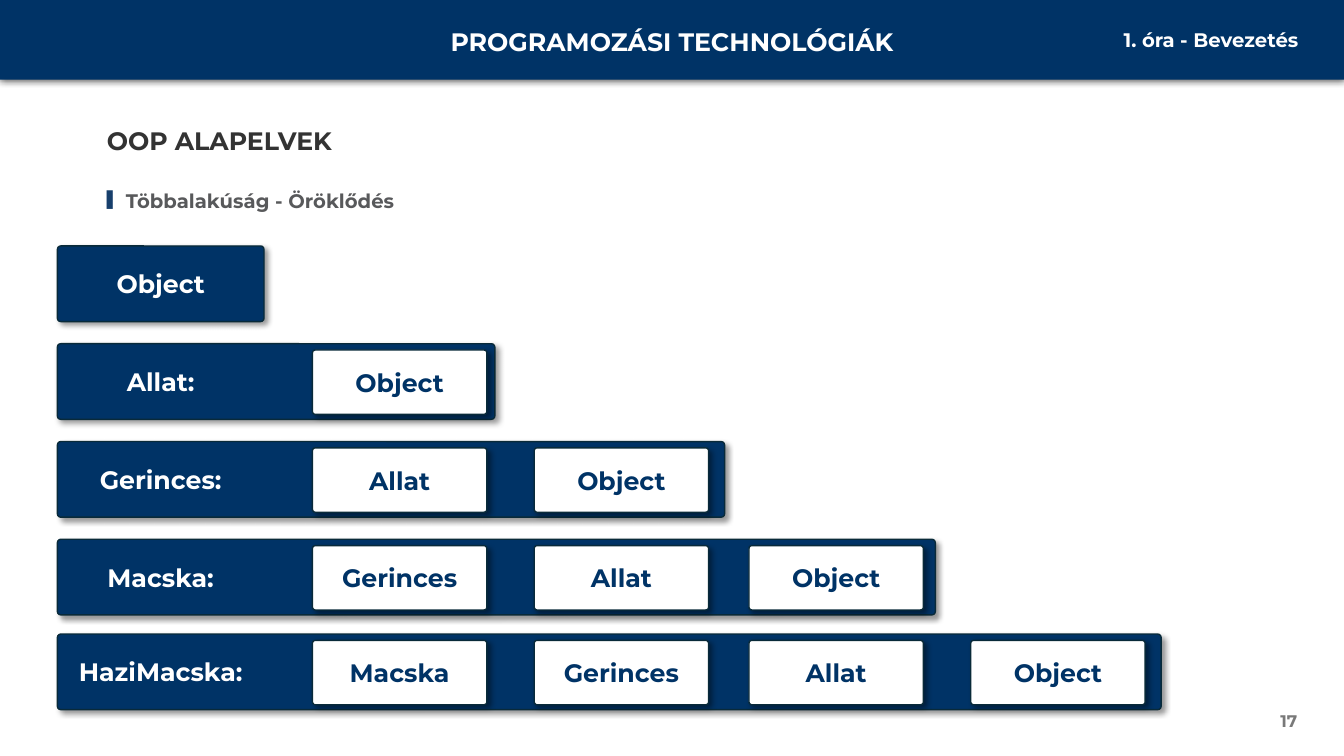
import pptx
import pptx.dml.color
import pptx.enum.shapes
import pptx.enum.text
import pptx.oxml.ns
import pptx.util
from lxml import etree

Pt = pptx.util.Pt
RGBColor = pptx.dml.color.RGBColor
Align = pptx.enum.text.PP_ALIGN
Anchor = pptx.enum.text.MSO_ANCHOR
Shape = pptx.enum.shapes.MSO_SHAPE
qn = pptx.oxml.ns.qn

NAVY = RGBColor(0x00, 0x33, 0x66)
OUTLINE = RGBColor(0x09, 0x2A, 0x39)
WHITE = RGBColor(0xFF, 0xFF, 0xFF)
HEADING = RGBColor(0x33, 0x33, 0x33)
BULLET = RGBColor(0x17, 0x3F, 0x6C)
BODY = RGBColor(0x58, 0x59, 0x5B)
PAGE_NUMBER = RGBColor(0x79, 0x79, 0x79)
FONT = "Montserrat"

PAGE_WIDTH, PAGE_HEIGHT = 960, 540

# Each class inherits from the one before it
CLASSES = ["Object", "Allat", "Gerinces", "Macska", "HaziMacska"]
BAR_TOPS = [175.7, 245.5, 315.4, 385.2, 452.9]
BAR_WIDTHS = [147.6, 312.5, 476.6, 627.1, 788.4]
BAR_HEIGHT = 54
LABEL_WIDTH = 147.6
CARD_OFFSETS = [182.2, 340.6, 494, 652.4]
CARD_WIDTH, CARD_HEIGHT = 124.6, 46


def write(shape, text, size, color, align, anchor=Anchor.TOP):
    frame = shape.text_frame
    frame.word_wrap = True
    frame.auto_size = pptx.enum.text.MSO_AUTO_SIZE.NONE
    frame.vertical_anchor = anchor
    para = frame.paragraphs[0]
    para.text = text
    para.alignment = align
    para.font.name = FONT
    para.font.size = Pt(size)
    para.font.bold = True
    para.font.color.rgb = color
    return para


def add_text(page, box, *style):
    write(page.shapes.add_textbox(*map(Pt, box)), *style)


def fill_placeholder(holder, box, *style):
    holder.left, holder.top, holder.width, holder.height = map(Pt, box)
    return write(holder, *style)


def add_shadow(shape, opacity, blur, distance, angle):
    shape.shadow.inherit = False
    effects = shape._element.spPr.find(qn("a:effectLst"))
    shadow = etree.SubElement(
        effects, qn("a:outerShdw"), blurRad=str(Pt(blur)), dist=str(Pt(distance)),
        dir=str(angle * 60000), algn="tl", rotWithShape="0")
    color = etree.SubElement(shadow, qn("a:srgbClr"), val="000000")
    etree.SubElement(color, qn("a:alpha"), val=str(opacity * 1000))


def add_block(page, box, text, fill, color, label_width):
    """Rounded block whose text is centred in its first label_width points."""
    block = page.shapes.add_shape(Shape.ROUNDED_RECTANGLE, *map(Pt, box))
    block.adjustments[0] = 0.045
    block.fill.solid()
    block.fill.fore_color.rgb = fill
    block.line.color.rgb = OUTLINE
    block.line.width = Pt(1)
    add_shadow(block, 40, 4, 3, 45)
    write(block, text, 18, color, Align.CENTER, Anchor.MIDDLE)
    block.text_frame.margin_left = 0
    block.text_frame.margin_right = Pt(box[2] - label_width)


def add_header(page, box):
    left, top, width, height = box
    band = page.shapes.add_shape(Shape.RECTANGLE, *map(Pt, box))
    band.fill.solid()
    band.fill.fore_color.rgb = NAVY
    band.line.fill.background()
    add_shadow(band, 80, 6, 0, 90)
    add_text(page, (left + (width - 376) / 2, top + 15.1, 376, 28.8),
             "PROGRAMOZÁSI TECHNOLÓGIÁK", 18, WHITE, Align.CENTER)
    add_text(page, (left + width - 219.8, top + 16.6, 194.4, 24.5),
             "1. óra - Bevezetés", 14, WHITE, Align.RIGHT)


def add_heading(page, box):
    left, top, width, height = box
    fill_placeholder(page.shapes.title, (left, top, 256.3, 28.8),
                     "OOP ALAPELVEK", 18, HEADING, Align.LEFT)

    # Bulleted subtitle
    holder = page.placeholders[1]
    props = holder.text_frame.paragraphs[0]._p.get_or_add_pPr()
    props.set("marL", str(Pt(13.7)))
    props.set("indent", str(-Pt(13.7)))
    color = etree.SubElement(props, qn("a:buClr"))
    etree.SubElement(color, qn("a:srgbClr"), val=str(BULLET))
    etree.SubElement(props, qn("a:buSzPct"), val="80000")
    etree.SubElement(props, qn("a:buFont"), typeface=FONT)
    etree.SubElement(props, qn("a:buChar"), char="▌")
    para = fill_placeholder(holder, (left, top + 45.4, width, 28.8),
                            "Többalakúság - Öröklődés", 14, BODY, Align.LEFT)
    para.space_before = Pt(0)
    para.space_after = Pt(2)


def add_class_row(page, box, name, ancestors):
    left, top, width, height = box
    label = f"{name}:" if ancestors else name
    add_block(page, box, label, NAVY, WHITE, LABEL_WIDTH)
    for offset, ancestor in zip(CARD_OFFSETS, ancestors):
        card = (left + offset, top + 4.5, CARD_WIDTH, CARD_HEIGHT)
        add_block(page, card, ancestor, WHITE, NAVY, CARD_WIDTH)


def main():
    deck = pptx.Presentation()
    deck.slide_width, deck.slide_height = Pt(PAGE_WIDTH), Pt(PAGE_HEIGHT)
    page = deck.slides.add_slide(deck.slide_layouts[1])

    add_header(page, (0, 0, PAGE_WIDTH, 56.9))
    add_heading(page, (69.1, 85.7, 865.4, 74.2))

    # Inheritance chain, nearest ancestor first
    for level, (name, top, width) in enumerate(zip(CLASSES, BAR_TOPS, BAR_WIDTHS)):
        add_class_row(page, (41, top, width, BAR_HEIGHT), name, CLASSES[:level][::-1])

    # Page number
    add_text(page, (717.8, 500.4, 216, 28.8), "17", 12, PAGE_NUMBER,
             Align.RIGHT, Anchor.MIDDLE)
    deck.save("out.pptx")


if __name__ == "__main__":
    main()
